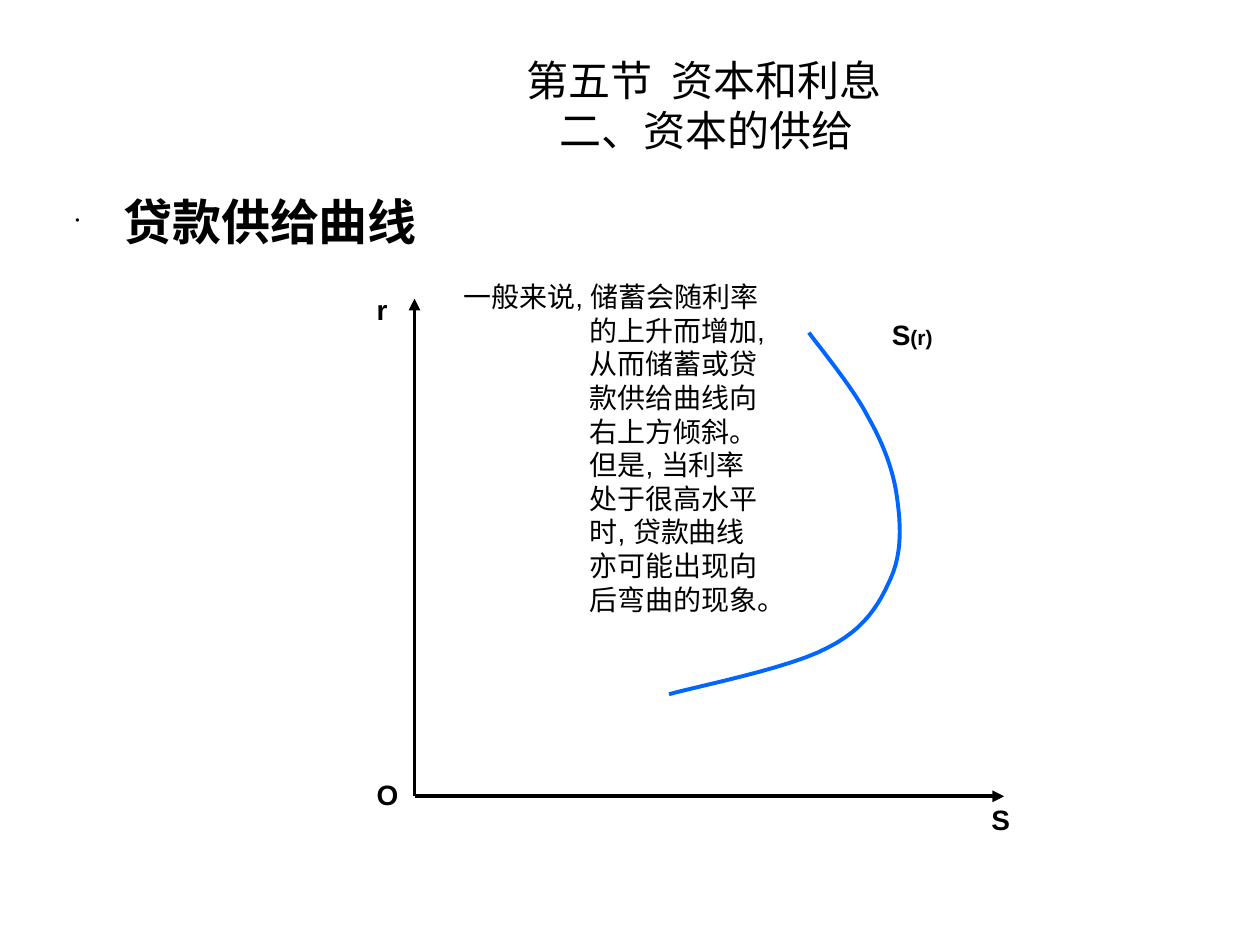
from pptx import Presentation
from pptx.dml.color import RGBColor
from pptx.enum.shapes import MSO_CONNECTOR, MSO_SHAPE
from pptx.enum.text import MSO_ANCHOR, PP_ALIGN
from pptx.oxml.ns import qn
from pptx.util import Inches, Pt
from lxml.etree import SubElement

BLACK = RGBColor(0, 0, 0)
WHITE = RGBColor(255, 255, 255)
BLUE = RGBColor(0, 102, 255)
LATIN_FONT = "Arial"
CHINESE_FONT = "Noto Sans CJK SC"

CURVE_START = (6.42, 2.64)
CURVE_SEGMENTS = [
    ((6.5, 2.75), (6.78, 3.09), (6.89, 3.31)),
    ((7.01, 3.52), (7.09, 3.73), (7.12, 3.95)),
    ((7.15, 4.16), (7.16, 4.39), (7.07, 4.59)),
    ((6.98, 4.79), (6.87, 4.99), (6.57, 5.14)),
    ((6.28, 5.3), (5.52, 5.45), (5.31, 5.51)),
]


def add_run(paragraph, text, size, bold=False):
    """Add a black run with Latin and Chinese fonts."""
    run = paragraph.add_run()
    run.text = text
    run.font.size = Pt(size)
    run.font.bold = bold
    run.font.color.rgb = BLACK
    run.font.name = LATIN_FONT
    SubElement(run.font._element, qn("a:ea"), typeface=CHINESE_FONT)


def set_indent(paragraph, left, first=0):
    """Set the left margin and the first-line indent."""
    properties = paragraph._p.get_or_add_pPr()
    properties.set("marL", str(Inches(left)))
    properties.set("indent", str(Inches(first)))
    return properties


def add_text_frame(slide, left, top, width, height):
    """Add a wrapping text box and return its frame."""
    box = slide.shapes.add_textbox(
        Inches(left), Inches(top), Inches(width), Inches(height))
    box.text_frame.word_wrap = True
    return box.text_frame


def add_title(slide, left, top, width, height):
    """Place the two title lines, each with its own indent."""
    frame = add_text_frame(slide, left, top, width, height)
    frame.vertical_anchor = MSO_ANCHOR.MIDDLE
    lines = [("第五节  资本和利息", 3.58), ("二、资本的供给", 3.84)]
    for index, (text, indent) in enumerate(lines):
        paragraph = frame.add_paragraph() if index else frame.paragraphs[0]
        paragraph.line_spacing = Pt(28.6)
        set_indent(paragraph, indent)
        add_run(paragraph, text, 24)


def add_heading(slide, left, top, width, height):
    """Place the bulleted heading."""
    frame = add_text_frame(slide, left, top, width, height)
    paragraph = frame.paragraphs[0]
    paragraph.space_before = Pt(7)
    paragraph.line_spacing = Pt(33.6)
    properties = set_indent(paragraph, 0.38, -0.38)
    SubElement(properties, qn("a:buSzPct"), val="25000")
    SubElement(properties, qn("a:buFont"), typeface=LATIN_FONT)
    SubElement(properties, qn("a:buChar"), char="•")
    add_run(paragraph, "贷款供给曲线", 28, True)


def add_axis(slide, start, end):
    """Draw one axis with an arrowhead at its end."""
    axis = slide.shapes.add_connector(
        MSO_CONNECTOR.STRAIGHT, *(Inches(value) for value in start + end))
    axis.line.color.rgb = BLACK
    axis.line.width = Pt(2.25)
    SubElement(axis.line._get_or_add_ln(), qn("a:tailEnd"), type="triangle")
    SubElement(axis._element.spPr, qn("a:effectLst"))


def add_label(slide, left, top, width, parts):
    """Place a bold label made of sized parts."""
    paragraph = add_text_frame(slide, left, top, width, 0.37).paragraphs[0]
    for text, size in parts:
        add_run(paragraph, text, size, True)


def curve_points(start, segments, steps=12):
    """Return points along a chain of cubic segments."""
    points = [start]
    for first, second, end in segments:
        origin = points[-1]
        for step in range(1, steps + 1):
            t = step / steps
            weights = ((1 - t) ** 3, 3 * t * (1 - t) ** 2,
                       3 * t ** 2 * (1 - t), t ** 3)
            controls = (origin, first, second, end)
            points.append(tuple(
                sum(weight * control[axis]
                    for weight, control in zip(weights, controls))
                for axis in range(2)))
    return points


def add_supply_curve(slide):
    """Draw the backward-bending supply curve."""
    points = [(Inches(x), Inches(y))
              for x, y in curve_points(CURVE_START, CURVE_SEGMENTS)]
    builder = slide.shapes.build_freeform(*points[0])
    builder.add_line_segments(points[1:], close=False)
    curve = builder.convert_to_shape()
    curve.shadow.inherit = False
    curve.fill.background()
    curve.line.color.rgb = BLUE
    curve.line.width = Pt(2.25)


def add_callout(slide, left, top, width, height):
    """Place the explanation in a white callout."""
    callout = slide.shapes.add_shape(
        MSO_SHAPE.ROUNDED_RECTANGULAR_CALLOUT,
        Inches(left), Inches(top), Inches(width), Inches(height))
    for index, value in enumerate((0.577, 0.268, 0.167)):
        callout.adjustments[index] = value
    callout.shadow.inherit = False
    callout.fill.solid()
    callout.fill.fore_color.rgb = WHITE
    callout.line.fill.background()
    frame = callout.text_frame
    frame.word_wrap = True
    frame.vertical_anchor = MSO_ANCHOR.TOP
    paragraph = frame.paragraphs[0]
    paragraph.alignment = PP_ALIGN.LEFT
    paragraph.line_spacing = Pt(19.2)
    set_indent(paragraph, 1, -1)
    add_run(paragraph,
            "一般来说, 储蓄会随利率的上升而增加, 从而储蓄或贷款供给曲线向右上方倾斜。 "
            "但是, 当利率处于很高水平时, 贷款曲线亦可能出现向后弯曲的现象。", 16)


def add_diagram(slide, left, top, width, height):
    """Draw the axes, their labels, the curve and the callout."""
    bottom = top + height
    right = left + width
    add_axis(slide, (left, bottom), (left, top))
    add_axis(slide, (left, bottom), (right, bottom))
    add_label(slide, left - 0.4, top - 0.1, 0.8, [("r", 16)])
    add_label(slide, left - 0.4, bottom - 0.2, 0.43, [("O", 16)])
    add_label(slide, right - 0.2, bottom, 0.43, [("S", 16)])
    add_label(slide, right - 0.99, top + 0.1, 0.9, [("S", 16), ("(r)", 12)])
    add_supply_curve(slide)
    add_callout(slide, left + 0.15, top - 0.34, 2.89, 3.28)


def main():
    """Build and save the slide."""
    presentation = Presentation()
    presentation.slide_width = Inches(10)
    presentation.slide_height = Inches(7.5)
    slide = presentation.slides.add_slide(presentation.slide_layouts[6])
    add_heading(slide, 0.5, 1.47, 9, 5.23)
    add_diagram(slide, 3.29, 2.37, 4.68, 3.95)
    add_title(slide, 0.5, 0.36, 9, 0.94)
    presentation.save("out.pptx")


if __name__ == "__main__":
    main()
